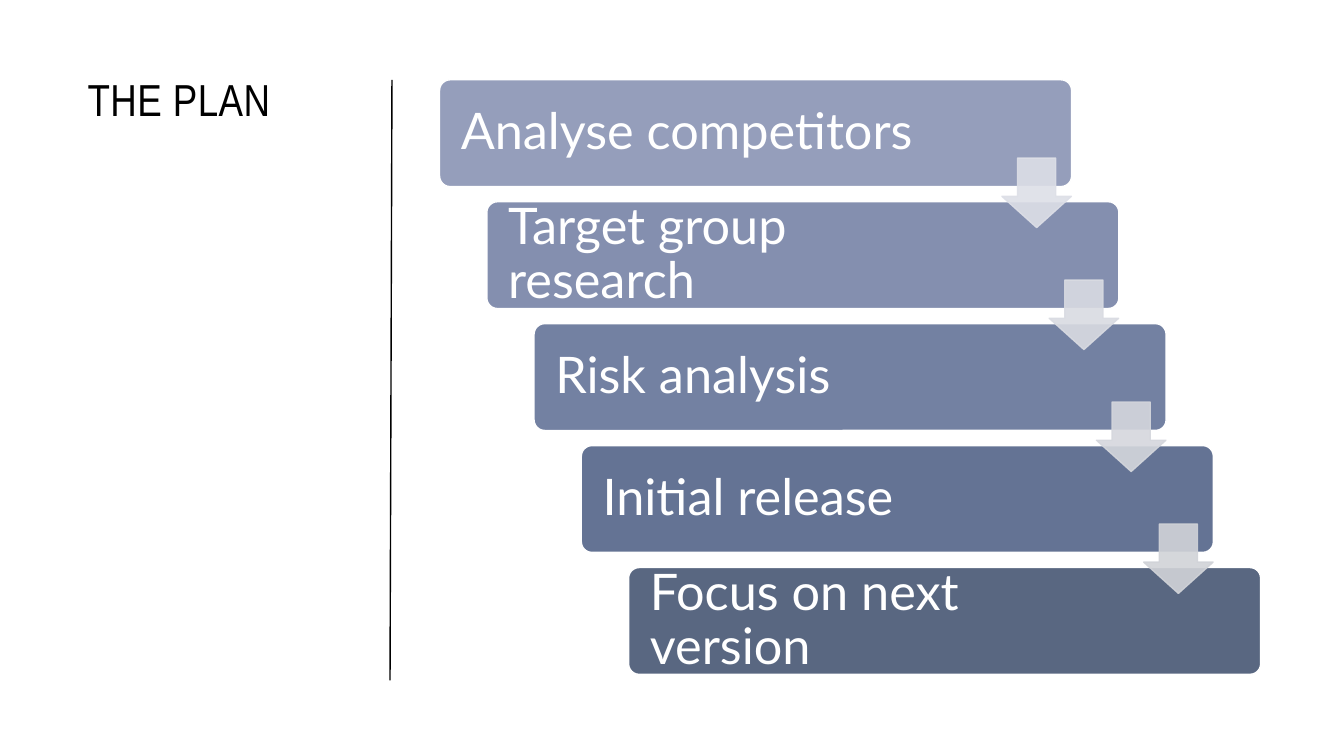
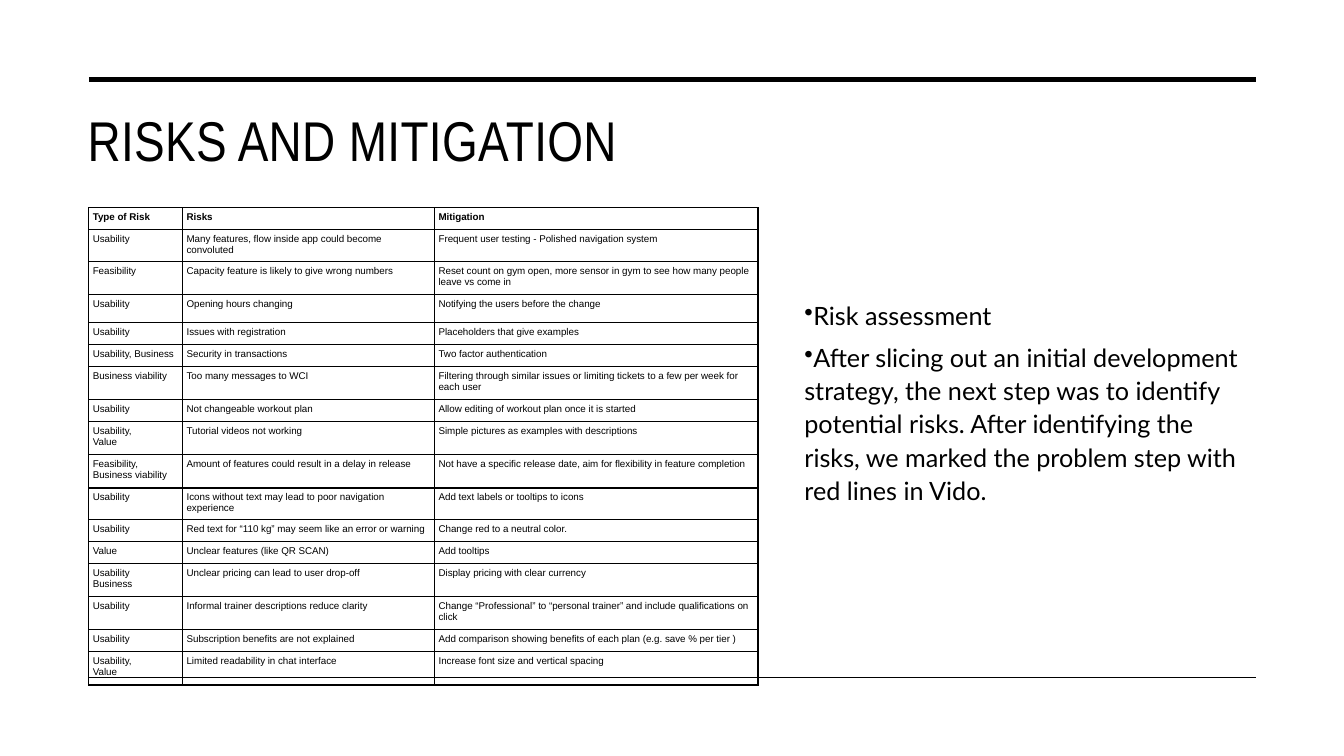
from dataclasses import dataclass

from lxml import etree
from pptx import Presentation
from pptx import util as u
from pptx.dml.color import RGBColor
from pptx.enum import shapes, text
from pptx.oxml.ns import qn

SHAPE = shapes.MSO_SHAPE
ANCHOR = text.MSO_ANCHOR
ALIGN = text.PP_ALIGN


@dataclass(frozen=True)
class Theme:
    ink: str = "000000"
    paper: str = "FFFFFF"
    steps: tuple = ("959EBB", "848FAF", "7381A2", "647394", "596781")
    arrows: tuple = ("DDDFE7", "D9DBE2", "D5D7DD", "D1D3D8")
    head: str = "Arial Narrow"
    body: str = "Lato"
    grid: str = "Arial"
    small: float = 32
    large: float = 40
    step: float = 36
    note: float = 18
    cell: float = 7


STEPS = (
    "Analyse competitors",
    "Target group research",
    "Risk analysis",
    "Initial release",
    "Focus on next version",
)

NOTES = (
    "Risk assessment",
    "After slicing out an initial development strategy, the next step was to "
    "identify potential risks. After identifying the risks, we marked the "
    "problem step with red lines in Vido.",
)

SHORT, MID, TALL = 15.7, 20.2, 23.7

RISKS = (
    (SHORT, "Type of Risk", "Risks", "Mitigation"),
    (SHORT, "Usability", "Many features, flow inside app could become convoluted",
     "Frequent user testing - Polished navigation system"),
    (TALL, "Feasibility", "Capacity feature is likely to give wrong numbers",
     "Reset count on gym open, more sensor in gym to see how many people leave vs come in"),
    (MID, "Usability", "Opening hours changing", "Notifying the users before the change"),
    (SHORT, "Usability", "Issues with registration", "Placeholders that give examples"),
    (SHORT, "Usability, Business", "Security in transactions", "Two factor authentication"),
    (TALL, "Business viability", "Too many messages to WCI",
     "Filtering through similar issues or limiting tickets to a few per week for each user"),
    (SHORT, "Usability", "Not changeable workout plan",
     "Allow editing of workout plan once it is started"),
    (TALL, "Usability,\nValue", "Tutorial videos not working",
     "Simple pictures as examples with descriptions"),
    (TALL, "Feasibility,\nBusiness viability",
     "Amount of features could result in a delay in release",
     "Not have a specific release date, aim for flexibility in feature completion"),
    (SHORT, "Usability", "Icons without text may lead to poor navigation experience",
     "Add text labels or tooltips to icons"),
    (SHORT, "Usability", "Red text for “110 kg” may seem like an error or warning",
     "Change red to a neutral color."),
    (SHORT, "Value", "Unclear features (like QR SCAN)", "Add tooltips"),
    (TALL, "Usability\nBusiness", "Unclear pricing can lead to user drop-off",
     "Display pricing with clear currency"),
    (TALL, "Usability", "Informal trainer descriptions reduce clarity",
     "Change “Professional” to “personal trainer” and include qualifications on click"),
    (SHORT, "Usability", "Subscription benefits are not explained",
     "Add comparison showing benefits of each plan (e.g. save % per tier )"),
    (TALL, "Usability,\nValue", "Limited readability in chat interface",
     "Increase font size and vertical spacing"),
)


def tint(hue):
    return RGBColor.from_string(hue)


def box(*sides):
    return [u.Pt(side) for side in sides]


class Deck:
    def __init__(self, theme):
        self.theme = theme
        self.file = Presentation()
        self.file.slide_width, self.file.slide_height = box(960, 540)
        self.slide = None

    def page(self):
        self.slide = self.file.slides.add_slide(self.file.slide_layouts[6])

    def style(self, frame, face, size, hue, bold=False):
        for para in frame.paragraphs:
            para.alignment = ALIGN.LEFT
            for run in para.runs:
                run.font.name = face
                run.font.size = u.Pt(size)
                run.font.bold = bold
                run.font.color.rgb = tint(hue)

    def label(self, words, *area):
        frame = self.slide.shapes.add_textbox(*box(*area)).text_frame
        frame.word_wrap = True
        frame.text = words
        return frame

    def title(self, words, size, *area):
        frame = self.label(words, *area)
        self.style(frame, self.theme.head, size, self.theme.ink)
        frame.paragraphs[0].runs[0].font._element.set("spc", "30")

    def rule(self, left, top, right, foot, width=1):
        line = self.slide.shapes.add_connector(
            shapes.MSO_CONNECTOR.STRAIGHT, *box(left, top, right, foot))
        line.line.color.rgb = tint(self.theme.ink)
        line.line.width = u.Pt(width)
        etree.SubElement(line._element.spPr, qn("a:effectLst"))

    def block(self, kind, hue, edge, ratios, *area):
        shape = self.slide.shapes.add_shape(kind, *box(*area))
        shape.shadow.inherit = False
        shape.fill.solid()
        shape.fill.fore_color.rgb = tint(hue)
        shape.line.color.rgb = tint(edge)
        shape.line.width = u.Pt(1)
        for spot, ratio in enumerate(ratios):
            shape.adjustments[spot] = ratio
        return shape

    def step(self, words, hue, left, top):
        shape = self.block(SHAPE.ROUNDED_RECTANGLE, hue, self.theme.paper, [0.1],
                           left, top, 451.5, 76.3)
        frame = shape.text_frame
        frame.word_wrap = True
        frame.vertical_anchor = ANCHOR.MIDDLE
        frame.margin_left, frame.margin_right = box(13, 97)
        frame.text = words
        frame.paragraphs[0].line_spacing = 0.9
        self.style(frame, self.theme.body, self.theme.step, self.theme.paper)

    def arrow(self, hue, left, top):
        shape = self.block(SHAPE.DOWN_ARROW, hue, hue, [0.55, 0.45],
                           left, top, 49.6, 49.6)
        for mark in shape._element.spPr.iter(qn("a:srgbClr")):
            etree.SubElement(mark, qn("a:alpha"), val="90000")

    def notes(self, lines, *area):
        frame = self.label("\n".join(lines), *area)
        for para in frame.paragraphs:
            props = para._p.get_or_add_pPr()
            props.set("marL", "0")
            props.set("indent", str(-u.Pt(18)))
            etree.SubElement(props, qn("a:buChar"), char="•")
            para.line_spacing = 1.1
            para.space_after = u.Pt(6)
        self.style(frame, self.theme.body, self.theme.note, self.theme.ink)

    def border(self, cell):
        props = cell._tc.get_or_add_tcPr()
        for side in ("lnL", "lnR", "lnT", "lnB"):
            line = etree.SubElement(props, qn("a:" + side), w=str(u.Pt(1)))
            fill = etree.SubElement(line, qn("a:solidFill"))
            etree.SubElement(fill, qn("a:srgbClr"), val=self.theme.ink)

    def table(self, rows, widths, left, top):
        high = sum(row[0] for row in rows)
        grid = self.slide.shapes.add_table(
            len(rows), len(widths), *box(left, top, sum(widths), high)).table
        grid.first_row = grid.horz_banding = False
        for col, width in zip(grid.columns, widths):
            col.width = u.Pt(width)
        for spot, (tall, *words) in enumerate(rows):
            grid.rows[spot].height = u.Pt(tall)
            for cell, word in zip(grid.rows[spot].cells, words):
                cell.margin_left = cell.margin_right = u.Pt(2.9)
                cell.margin_top = cell.margin_bottom = u.Pt(2.9)
                self.border(cell)
                cell.fill.background()
                cell.text_frame.text = word
                self.style(cell.text_frame, self.theme.grid, self.theme.cell,
                           self.theme.ink, spot == 0)


def plan(deck):
    deck.page()
    look = deck.theme
    deck.title("THE PLAN", look.small, 55.5, 48, 199, 353.5)
    deck.rule(278.6, 486, 280, 57)
    spots = [(314 + 33.75 * n, 57 + 87.1 * n) for n in range(len(STEPS))]
    for words, hue, (left, top) in zip(STEPS, look.steps, spots):
        deck.step(words, hue, left, top)
    for hue, (left, top) in zip(look.arrows, spots):
        deck.arrow(hue, left + 401.7, top + 56)


def risks(deck):
    deck.page()
    deck.title("RISKS AND MITIGATION", deck.theme.large, 55.5, 72, 841.5, 62.5)
    deck.rule(63.5, 57, 897, 57, 3.5)
    deck.notes(NOTES, 567.5, 209, 329.5, 160)
    deck.rule(63.5, 484, 897, 484)
    deck.table(RISKS, (67, 180, 231), 63.4, 148.3)


def main():
    deck = Deck(Theme())
    plan(deck)
    risks(deck)
    deck.file.save("out.pptx")


if __name__ == "__main__":
    main()
